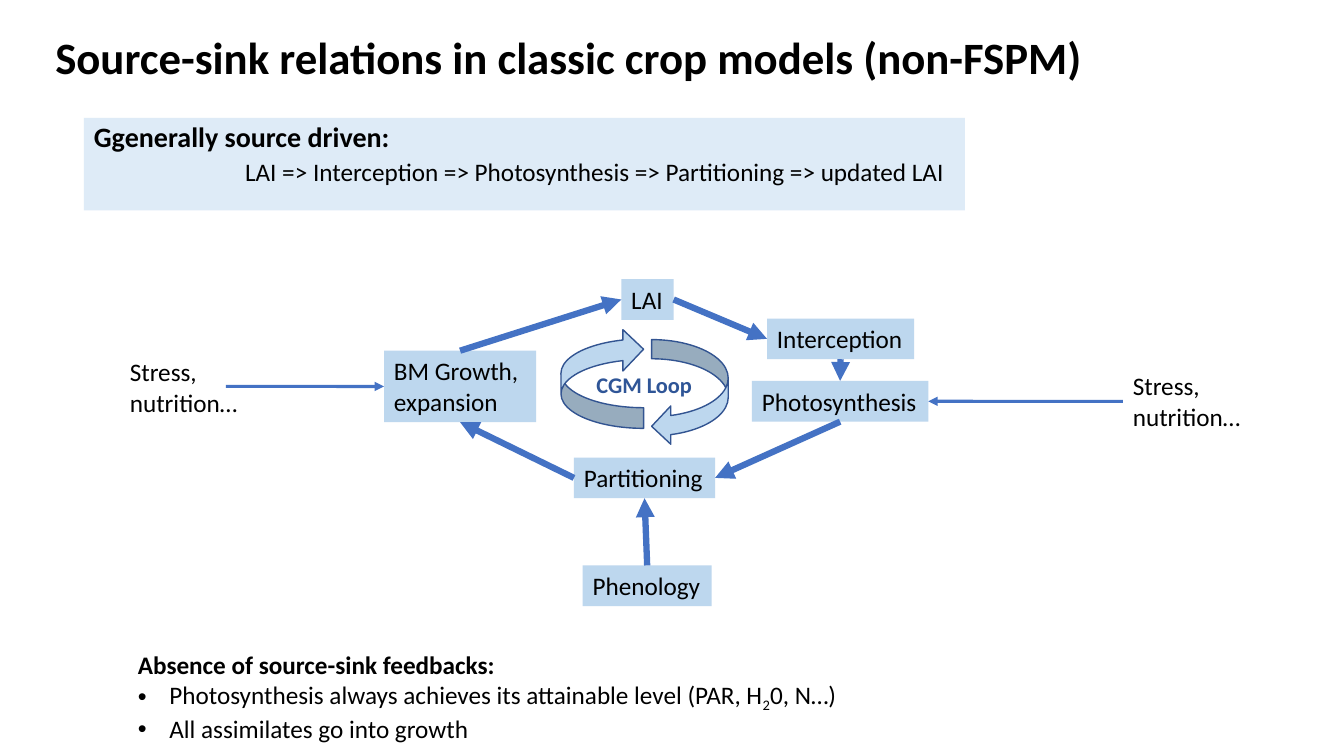
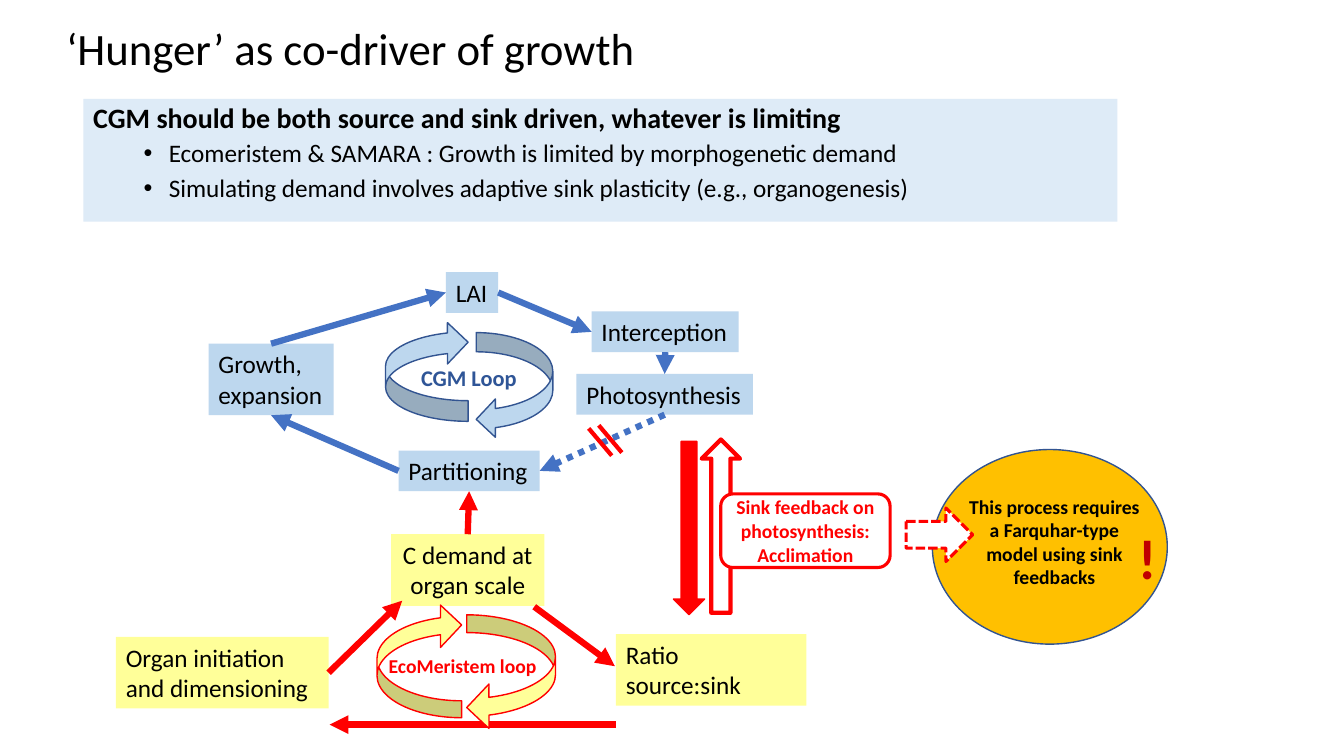
from dataclasses import dataclass

from lxml import etree
from pptx import Presentation
from pptx.dml.color import RGBColor
from pptx.enum.dml import MSO_LINE
from pptx.enum.shapes import MSO_CONNECTOR, MSO_SHAPE
from pptx.enum.text import MSO_ANCHOR, MSO_AUTO_SIZE, PP_ALIGN
from pptx.oxml.ns import qn
from pptx.util import Pt

RECT, ROUND_RECT, OVAL = MSO_SHAPE.RECTANGLE, MSO_SHAPE.ROUNDED_RECTANGLE, MSO_SHAPE.OVAL
CURVED = MSO_SHAPE.CURVED_RIGHT_ARROW
DOWN, UP, RIGHTWARD = MSO_SHAPE.DOWN_ARROW, MSO_SHAPE.UP_ARROW, MSO_SHAPE.RIGHT_ARROW
STRAIGHT = MSO_CONNECTOR.STRAIGHT
DOTS, DASHES = MSO_LINE.ROUND_DOT, MSO_LINE.SQUARE_DOT
TOP, MIDDLE = MSO_ANCHOR.TOP, MSO_ANCHOR.MIDDLE
LEFT, CENTER = PP_ALIGN.LEFT, PP_ALIGN.CENTER
GROW = MSO_AUTO_SIZE.SHAPE_TO_FIT_TEXT
# Connection sites of a rectangle
SITE_TOP, SITE_LEFT, SITE_BOTTOM, SITE_RIGHT = range(4)


@dataclass(frozen=True)
class Theme:
    font: str = "Calibri"
    ink: str = "000000"
    band: str = "DEEBF7"
    node: str = "BDD7EE"
    arrow: str = "4472C4"
    outline: str = "325491"
    loop_label: str = "2F5597"
    demand: str = "FFFF99"
    red: str = "FF0000"
    dark_red: str = "C00000"
    amber: str = "FFC000"
    white: str = "FFFFFF"
    title: float = 32
    lead: float = 20
    body: float = 18
    label: float = 16
    note: float = 14
    mark: float = 40
    thick: float = 4.5
    thin: float = 2.25
    one_line: float = 29.1
    two_lines: float = 51.1


THEME = Theme()


@dataclass(frozen=True)
class Line:
    """One paragraph; text is a string or a list of (string, baseline) pairs."""
    text: object
    size: float = THEME.body
    color: str = THEME.ink
    bold: bool = False
    align: object = LEFT
    bullet: bool = False
    margin: float = 0
    hanging: float = 0
    spacing: float = 1
    before: float = 0


def write(shape, lines, wrap=True, anchor=TOP, grow=False):
    frame = shape.text_frame
    frame.word_wrap = wrap
    frame.vertical_anchor = anchor
    if grow:
        frame.auto_size = GROW
    for index, line in enumerate(lines):
        para = frame.add_paragraph() if index else frame.paragraphs[0]
        para.alignment = line.align
        para.line_spacing = line.spacing
        para.space_before = Pt(line.before)
        props = para._p.get_or_add_pPr()
        props.set("marL", str(Pt(line.margin)))
        props.set("indent", str(Pt(-line.hanging)))
        if line.bullet:
            etree.SubElement(props, qn("a:buFont")).set("typeface", "Arial")
            etree.SubElement(props, qn("a:buChar")).set("char", "•")
        spans = [(line.text, 0)] if isinstance(line.text, str) else line.text
        for text, baseline in spans:
            span = para.add_run()
            span.text = text
            span.font.name = THEME.font
            span.font.size = Pt(line.size)
            span.font.bold = line.bold
            span.font.color.rgb = RGBColor.from_string(line.color)
            if baseline:
                span._r.get_or_add_rPr().set("baseline", str(baseline))


def style_line(line, color, weight, dash=None):
    line.color.rgb = RGBColor.from_string(color)
    line.width = Pt(weight)
    if dash:
        line.dash_style = dash


def add_block(page, kind, box, fill, outline=None, weight=1, dash=None):
    shape = page.shapes.add_shape(kind, *map(Pt, box))
    shape.shadow.inherit = False
    shape.fill.solid()
    shape.fill.fore_color.rgb = RGBColor.from_string(fill)
    if outline:
        style_line(shape.line, outline, weight, dash)
    else:
        shape.line.fill.background()
    return shape


def add_label(page, box, lines, wrap=True, anchor=TOP):
    shape = page.shapes.add_textbox(*map(Pt, box))
    write(shape, lines, wrap, anchor)
    return shape


def add_node(page, box, texts, fill=THEME.node, wrap=False, align=LEFT):
    shape = add_block(page, RECT, box, fill)
    write(shape, [Line(text, align=align) for text in texts], wrap, grow=True)
    return shape


def add_link(page, start, end, color=THEME.arrow, weight=THEME.thick, dash=None, head=True):
    """Straight line; each end is a (shape, site) pair or an (x, y) point."""
    def is_point(place):
        return isinstance(place[0], (int, float))

    first = start if is_point(start) else (0, 0)
    last = end if is_point(end) else (0, 0)
    link = page.shapes.add_connector(STRAIGHT, *map(Pt, (*first, *last)))
    if not is_point(start):
        link.begin_connect(*start)
    if not is_point(end):
        link.end_connect(*end)
    style_line(link.line, color, weight, dash)
    if head:
        etree.SubElement(link.line._get_or_add_ln(), qn("a:tailEnd")).set("type", "triangle")
    etree.SubElement(link._element.spPr, qn("a:effectLst"))


def add_title(page, box, text, bold=False):
    add_label(page, box, [Line(text, THEME.title, bold=bold, spacing=0.9)], anchor=MIDDLE)


def add_band(page, box, lead, details, bullet, margin, hanging=0):
    band = add_block(page, RECT, box, THEME.band)
    lines = [Line(lead, THEME.lead, bold=True, spacing=0.9, before=10)]
    lines += [Line(text, bullet=bullet, margin=margin, hanging=hanging,
                   spacing=0.9, before=5) for text in details]
    write(band, lines)


def add_ring(page, left_box, right_box, fill, outline, thickness):
    """Two curved arrows that chase each other clockwise."""
    for box, flip in ((left_box, "flipV"), (right_box, "flipH")):
        arrow = add_block(page, CURVED, box, fill, outline)
        arrow.adjustments[0] = thickness
        arrow._element.spPr.find(qn("a:xfrm")).set(flip, "1")


def add_crop_cycle(page, left, top, growth_texts, growth_width, feed_dash=None):
    """Five linked nodes round the CGM ring, measured from the given corner."""
    def at(x, y, width, height=THEME.one_line):
        return left + x, top + y, width, height

    lai = add_node(page, at(169.5, 0, 37.4), ["LAI"])
    interception = add_node(page, at(273.6, 28.1, 105.1), ["Interception"])
    photosynthesis = add_node(page, at(262.8, 72.7, 126), ["Photosynthesis"])
    partitioning = add_node(page, at(135.7, 127.4, 100.8), ["Partitioning"])
    growth = add_node(page, at(0, 51.1, growth_width, THEME.two_lines), growth_texts)

    add_link(page, (lai, SITE_RIGHT), (interception, SITE_LEFT))
    add_link(page, (interception, SITE_BOTTOM), (photosynthesis, SITE_TOP))
    add_link(page, (photosynthesis, SITE_BOTTOM), (partitioning, SITE_RIGHT), dash=feed_dash)
    add_link(page, (partitioning, SITE_LEFT), (growth, SITE_BOTTOM))
    add_link(page, (growth, SITE_TOP), (lai, SITE_LEFT))

    add_ring(page, at(126.4, 35.3, 59, 71.3), at(191.2, 43.2, 54.7, 75.6),
             THEME.node, THEME.outline, 0.25)
    add_label(page, at(144.7, 62.3, 84.2, 26.6),
              [Line("CGM Loop", THEME.label, THEME.loop_label, True)], wrap=False)
    return growth, photosynthesis, partitioning


def add_demand_cycle(page, left, top, partitioning):
    """Yellow nodes round the EcoMeristem ring, feeding the partitioning node."""
    def at(x, y, width, height=THEME.two_lines):
        return left + x, top + y, width, height

    def red_link(start, end):
        add_link(page, start, end, THEME.red)

    demand = add_node(page, at(196.6, 0, 109.4), ["C demand at organ scale"],
                      THEME.demand, True, CENTER)
    add_node(page, at(357.1, 71.3, 136.1), ["Ratio", "source:sink"], THEME.demand, True)
    organs = add_node(page, at(0, 73.4, 151.9), ["Organ initiation and dimensioning"],
                      THEME.demand, True)
    red_link((organs, SITE_RIGHT), (left + 204.5, top + 47.5))
    red_link((left + 298.8, top + 51.8), (left + 356.4, top + 94.3))
    red_link((left + 357.1, top + 136), (left + 152.6, top + 136))
    red_link((demand, SITE_TOP), (partitioning, SITE_BOTTOM))
    add_ring(page, at(186.5, 49.7, 60.5, 81.4), at(250.6, 57.6, 63.4, 82.1),
             THEME.demand, THEME.red, 0.2)
    add_label(page, at(184.3, 82.1, 126.7, 24.5),
              [Line("EcoMeristem loop", THEME.note, THEME.red, True, CENTER)])


def add_feedback(page, left, top):
    """Sink feedback arrows with their caption, pointing to the amber remark."""
    def at(x, y, width, height):
        return left + x, top + y, width, height

    def note(text, color):
        return Line(text, THEME.note, color, True, CENTER)

    add_block(page, OVAL, at(185, 7.2, 167.8, 139), THEME.amber, THEME.outline)
    add_label(page, at(200.9, 24.5, 142.6, 97.2),
              [note("This process requires a Farquhar-type model using sink feedbacks",
                    THEME.ink)], anchor=MIDDLE)
    add_block(page, DOWN, at(0, 1.4, 22.3, 123.8), THEME.red, THEME.red)
    add_block(page, UP, at(20.2, 0, 27.4, 123.8), THEME.white, THEME.red, 3)
    caption = add_block(page, ROUND_RECT, at(33.8, 38.9, 121, 52.6),
                        THEME.white, THEME.red, THEME.thin)
    write(caption, [note("Sink feedback on photosynthesis:", THEME.red),
                    note("Acclimation", THEME.red)], anchor=MIDDLE)
    add_block(page, RIGHTWARD, at(166.3, 49, 47.5, 38.2),
              THEME.white, THEME.red, THEME.thin, DASHES)
    add_label(page, at(325.4, 56.2, 27.4, 55.4),
              [Line("!", THEME.mark, THEME.dark_red, True)], wrap=False)


def build_classic_page(page):
    add_title(page, (32.4, 18, 886.3, 49),
              "Source-sink relations in classic crop models (non-FSPM)", bold=True)
    add_band(page, (60, 84.2, 629.3, 66.2), "Ggenerally source driven:",
             ["LAI => Interception => Photosynthesis => Partitioning => updated LAI"],
             bullet=False, margin=108)
    growth, photosynthesis, partitioning = add_crop_cycle(
        page, 274.3, 199.4, ["BM Growth,", "expansion"], 108.7)

    stress = [Line("Stress,"), Line("nutrition…")]
    add_label(page, (85.7, 251.3, 96.5, THEME.two_lines), stress)
    right_stress = add_label(page, (802.1, 261.2, 92.2, THEME.two_lines), stress, wrap=False)
    add_link(page, (161.3, 276), (growth, SITE_LEFT), weight=THEME.thin)
    add_link(page, (right_stress, SITE_LEFT), (photosynthesis, SITE_RIGHT), weight=THEME.thin)

    phenology = add_node(page, (416.2, 403.9, 92.2, THEME.one_line), ["Phenology"])
    add_link(page, (phenology, SITE_TOP), (partitioning, SITE_BOTTOM))

    points = ([("Photosynthesis always achieves its attainable level (PAR, H", 0),
               ("2", -25000), ("0, N…)", 0)],
              "All assimilates go into growth")
    add_label(page, (91.4, 460.1, 519.8, 72.7),
              [Line("Absence of source-sink feedbacks:", bold=True)]
              + [Line(point, bullet=True, margin=22.5, hanging=22.5) for point in points])


def build_hunger_page(page):
    add_title(page, (40.3, 12.2, 849.6, 49), "‘Hunger’ as co-driver of growth")
    add_band(page, (59.5, 70.6, 738.7, 87.8),
             "CGM should be both source and sink driven, whatever is limiting",
             ["Ecomeristem & SAMARA : Growth is limited by morphogenetic demand",
              "Simulating demand involves adaptive sink plasticity (e.g., organogenesis)"],
             bullet=True, margin=54, hanging=18)
    partitioning = add_crop_cycle(page, 149, 194.4, ["Growth,", "expansion"], 89.3, DOTS)[-1]
    add_demand_cycle(page, 82.8, 381.6, partitioning)
    for x, y in ((420.5, 306), (427.7, 303.8)):
        add_link(page, (x, y), (x + 16.5, y + 19.5), THEME.red, 3, head=False)
    add_feedback(page, 481, 313.9)


def main():
    deck = Presentation()
    deck.slide_width, deck.slide_height = Pt(960), Pt(540)
    for build in (build_classic_page, build_hunger_page):
        build(deck.slides.add_slide(deck.slide_layouts[6]))
    deck.save("out.pptx")


if __name__ == "__main__":
    main()
